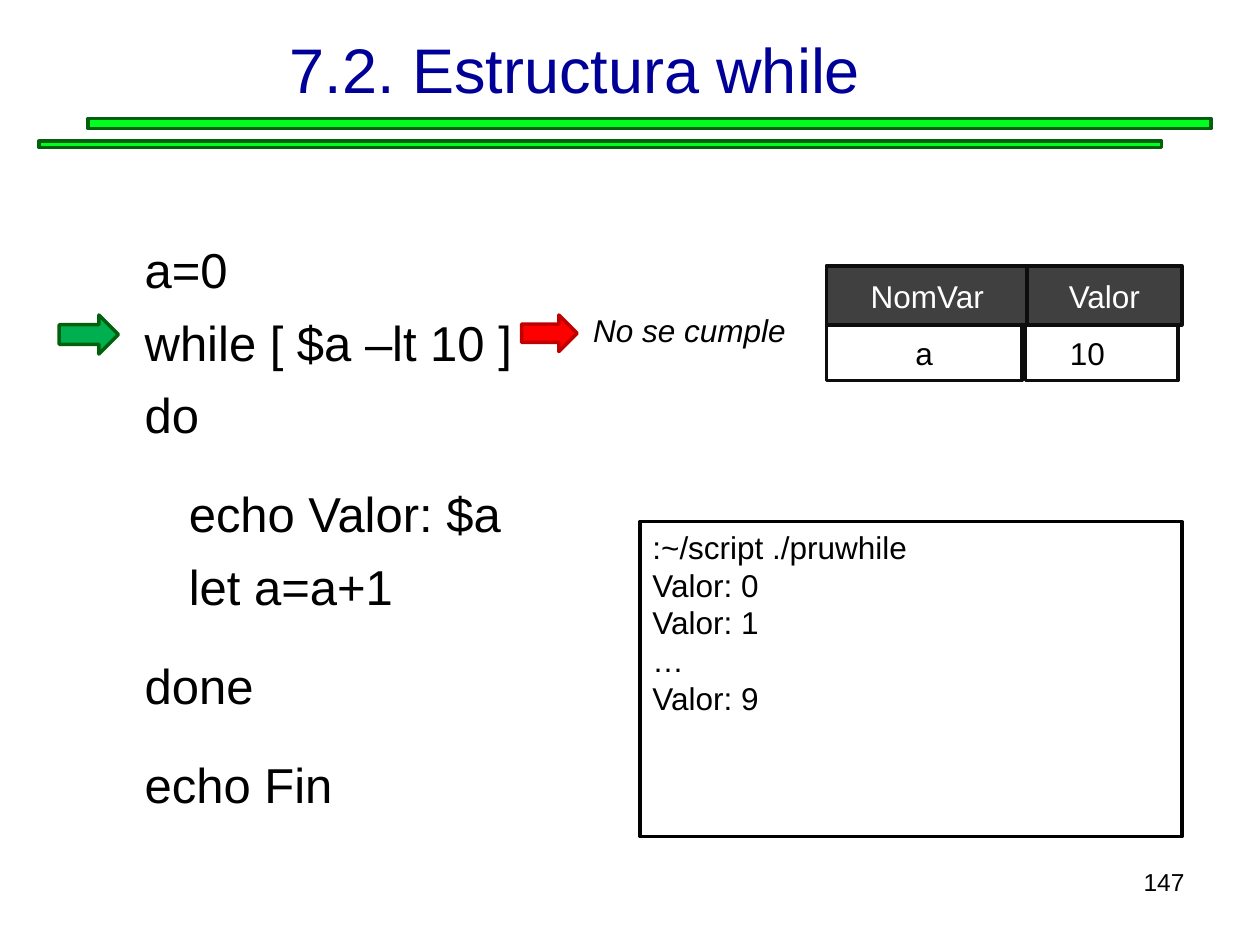
from pptx import Presentation
from pptx.dml.color import RGBColor
from pptx.enum.shapes import MSO_SHAPE
from pptx.enum.text import MSO_ANCHOR, PP_ALIGN
from pptx.util import Inches, Pt

COLUMNS, ROWS = 100, 75


def color(value):
    return RGBColor.from_string(value)


class SlideBuilder:
    font_name = "Arial"
    body_size = 18
    line_width = 2

    def __init__(self, deck):
        self.column = deck.slide_width / COLUMNS
        self.row = deck.slide_height / ROWS
        self.slide = deck.slides.add_slide(deck.slide_layouts[6])

    def place(self, left, top, width, height):
        return (round(left * self.column), round(top * self.row),
                round(width * self.column), round(height * self.row))

    def fill_text(self, box, lines, size=body_size, ink="000000",
                  align=PP_ALIGN.LEFT, anchor=MSO_ANCHOR.TOP, italic=False):
        frame = box.text_frame
        frame.word_wrap = True
        frame.vertical_anchor = anchor
        frame.text = "\n".join(lines)
        for para in frame.paragraphs:
            para.alignment = align
            for span in para.runs:
                span.font.name = self.font_name
                span.font.size = Pt(size)
                span.font.italic = italic
                span.font.color.rgb = color(ink)
        return frame

    def text(self, area, lines, **style):
        box = self.slide.shapes.add_textbox(*self.place(*area))
        return self.fill_text(box, lines, **style)

    def shape(self, area, fill, line, kind=MSO_SHAPE.RECTANGLE):
        shape = self.slide.shapes.add_shape(kind, *self.place(*area))
        shape.shadow.inherit = False
        shape.fill.solid()
        shape.fill.fore_color.rgb = color(fill)
        shape.line.color.rgb = color(line)
        shape.line.width = Pt(self.line_width)
        return shape

    def arrow(self, area, fill, line):
        return self.shape(area, fill, line, MSO_SHAPE.RIGHT_ARROW)

    def panel(self, area, lines, fill, line, **style):
        return self.fill_text(self.shape(area, fill, line), lines, **style)

    def cell(self, area, label, fill, ink):
        return self.panel(area, [label], fill, "0D0D0D", ink=ink,
                          align=PP_ALIGN.CENTER, anchor=MSO_ANCHOR.MIDDLE)

    def code(self, area, rows):
        frame = self.text(area, [line for line, _, _ in rows], size=28)
        for para, (_, indent, space) in zip(frame.paragraphs, rows):
            para.space_before = Pt(space)
            para._p.get_or_add_pPr().set("marL", str(Inches(indent)))


def main():
    deck = Presentation()
    deck.slide_width, deck.slide_height = Inches(10), Inches(7.5)
    page = SlideBuilder(deck)

    page.text((-5.5, -0.8, 102.3, 12.5), ["7.2. Estructura while"], size=36,
              ink="000099", align=PP_ALIGN.CENTER, anchor=MSO_ANCHOR.MIDDLE)
    for rule in ((7, 9.4, 89.1, 0.8), (3.1, 11.2, 89.1, 0.5)):
        page.shape(rule, "00FE1E", "00600B")

    outer, inner = 0.03, 0.38
    step, gap = 8, 23
    page.code((10.2, 18.5, 80.5, 48.7), [
        ("a=0", outer, 0),
        ("while [ $a –lt 10 ]", outer, step),
        ("do", outer, step),
        ("echo Valor: $a", inner, gap),
        ("let a=a+1", inner, step),
        ("done", outer, gap),
        ("echo Fin", outer, gap),
    ])

    page.cell((65.6, 21.1, 16, 4.7), "NomVar", "404040", "FFFFFF")
    page.cell((81.5, 21.1, 12.3, 4.7), "Valor", "404040", "FFFFFF")
    page.cell((65.6, 25.8, 15.5, 4.4), "a", "FFFFFF", "000000")
    value = page.cell((81.4, 25.8, 12.1, 4.4), "10", "FFFFFF", "000000")
    value.margin_right = Inches(0.33)

    page.panel((50.8, 41.4, 43, 25),
               [":~/script ./pruwhile", "Valor: 0", "Valor: 1", "…", "Valor: 9"],
               "FFFFFF", "000000")

    page.arrow((4.7, 25, 4.7, 3.1), "00B050", "00600B")
    page.arrow((41.4, 25, 4.4, 2.9), "FF0000", "C00000")
    page.text((46.1, 24.2, 18.5, 4), ["No se cumple"], italic=True)
    page.text((71.7, 68.3, 23.3, 5.2), ["147"], size=14, align=PP_ALIGN.RIGHT)

    deck.save("out.pptx")


if __name__ == "__main__":
    main()
